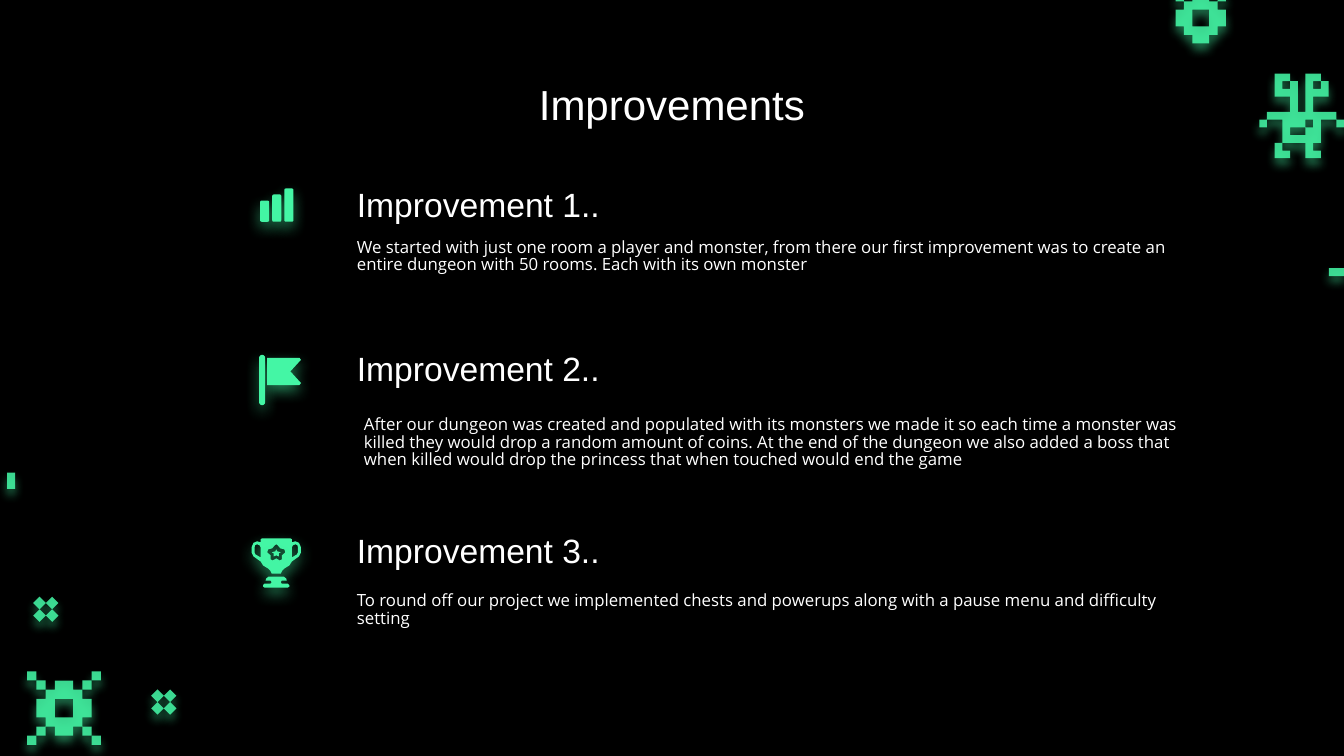
from lxml import etree
from pptx import Presentation
from pptx import util as u
from pptx.dml.color import RGBColor
from pptx.enum import shapes, text
from pptx.oxml.ns import qn

HUES = {"back": "000000", "glow": "44F6A5", "text": "FFFFFF"}

deck = Presentation()
deck.slide_width, deck.slide_height = u.Inches(13.33), u.Inches(7.5)
slide = deck.slides.add_slide(deck.slide_layouts[3])
slide.background.fill.solid()
slide.background.fill.fore_color.rgb = RGBColor.from_string(HUES["back"])
sprites, icons = [], []


def box(x, y, w=1, h=1):
    """Return the corners of a rectangle in grid cells."""
    return [(x, y), (x, y + h), (x + w, y + h), (x + w, y)]


def draw(left, top, cell, loops):
    """Build one freeform from closed loops; inner loops become holes."""
    loops = [[(u.Inches(left + x * cell), u.Inches(top + y * cell))
              for x, y in loop] for loop in loops]
    pen = slide.shapes.build_freeform(*loops[0][0])
    pen.add_line_segments(loops[0][1:])
    for loop in loops[1:]:
        pen.move_to(*loop[0])
        pen.add_line_segments(loop[1:])
    return pen.convert_to_shape()


# Pixel sprites, in cells
ring = [(2, 0), (2, 1), (1, 1), (1, 2), (0, 2), (0, 4), (1, 4), (1, 5), (2, 5), (2, 6),
        (4, 6), (4, 5), (5, 5), (5, 4), (6, 4), (6, 2), (5, 2), (5, 1), (4, 1), (4, 0)]
hole = box(2, 2, 2, 2)
alien = [(2, 0), (2, 3), (4, 3), (4, 5), (1, 5), (1, 6), (3, 6), (3, 9), (6, 9), (6, 11),
         (8, 11), (8, 10), (7, 10), (7, 9), (8, 9), (8, 6), (10, 6), (10, 7), (11, 7),
         (11, 6), (10, 6), (10, 5), (7, 5), (7, 3), (9, 3), (9, 1), (8, 1), (8, 2),
         (7, 2), (7, 1), (8, 1), (8, 0), (6, 0), (6, 5), (5, 5), (5, 1), (4, 1),
         (4, 2), (3, 2), (3, 1), (4, 1), (4, 0)]
foot = [(2, 9), (2, 11), (4, 11), (4, 10), (3, 10), (3, 9)]

bug = 0.73 / 8
for x, y in [(7, 7), (0, 7), (6, 1), (7, 0), (0, 0), (1, 1)]:
    sprites.append(draw(0.27, 6.66, bug, [box(x, y)]))
sprites.append(draw(0.27 + bug, 6.66 + bug, bug, [ring, hole, box(0, 5), box(5, 5)]))

gem = 0.25 / 2
for left, top in [(0.33, 5.92), (1.5, 6.84)]:
    for col in range(2):
        for row in range(2):
            sprites.append(slide.shapes.add_shape(
                shapes.MSO_SHAPE.DIAMOND, u.Inches(left + col * gem),
                u.Inches(top + row * gem), u.Inches(gem), u.Inches(gem)))

limb = 0.84 / 11
sprites += [
    draw(12.49, 0.73, limb, [foot]),
    draw(12.49, 0.73, limb, [alien, box(0, 6), box(6, 6), box(4, 7, 2, 1)]),
    draw(11.66, -0.07, 0.5 / 6, [ring, hole, box(0, 0), box(5, 0)]),
    draw(13.18, 2.66, 1, [box(0, 0, 0.15, 0.08)]),
    draw(0.07, 4.69, 1, [box(0, 0, 0.08, 0.16)]),
]

# Trophy: right halves around the middle, in hundredths of an inch
cup = [(14, 0), (15.5, 1), (15.5, 4), (19, 3), (22.5, 4.5), (24.5, 9), (24.5, 14),
       (22.5, 18), (15.5, 23), (13, 27), (8, 30), (6, 32), (4.5, 35)]
star = [(0, 6), (1.5, 7), (4, 10), (8, 11), (9, 14), (5.5, 17), (5.5, 21), (3.5, 22), (0, 20)]
core = [(0, 11), (1, 13), (4.5, 14), (2.5, 15), (2.5, 18), (0, 17)]
base = [(7.5, 38), (10, 40), (10.5, 42), (5.5, 42), (4.5, 43.5), (5.5, 45), (11.5, 45),
        (13, 46.5), (13, 48), (11.5, 49)]
grip = [(19, 6), (21, 7), (21.5, 9), (21.5, 14), (20.5, 16), (15.5, 19), (15.5, 9), (16.5, 7)]
cup, star, core, base = [half + [(-x, y) for x, y in half[::-1]]
                         for half in (cup, star, core, base)]
grips = [[(side * x, y) for x, y in grip] for side in (1, -1)]
for loops in ([cup, star, *grips], [base], [core]):
    icons.append(draw(2.74, 5.34, 0.01, loops))

# Chart bars and flag pole
for left, top, wide, high, curve in [(2.58, 1.99, 0.09, 0.21, 0.17), (2.7, 1.93, 0.09, 0.27, 0.17),
                                     (2.82, 1.87, 0.09, 0.33, 0.17), (2.57, 3.52, 0.06, 0.5, 0.5)]:
    bar = slide.shapes.add_shape(shapes.MSO_SHAPE.ROUNDED_RECTANGLE,
                                 *map(u.Inches, (left, top, wide, high)))
    bar.adjustments[0] = curve
    icons.append(bar)
icons.append(draw(2.65, 3.55, 0.01, [[(0, 0), (0, 27), (32, 27), (33.5, 25), (23, 13.5),
                                      (33.5, 2), (32, 0)]]))

for group, alpha, blur in [(sprites, 87, 6.8), (icons, 100, 10.1)]:
    for shape in group:
        shape.fill.solid()
        shape.fill.fore_color.rgb = RGBColor.from_string(HUES["glow"])
        shape.line.fill.background()
        shape.shadow.inherit = False
        props = shape._element.spPr
        tint = props.find(qn("a:solidFill")).find(qn("a:srgbClr"))
        etree.SubElement(tint, qn("a:alpha"), val=str(alpha * 1000))
        shade = etree.SubElement(props.find(qn("a:effectLst")), qn("a:outerShdw"),
                                 blurRad=str(u.Pt(blur)), dist=str(u.Pt(4.5)),
                                 dir="5400000", algn="bl", rotWithShape="0")
        tint = etree.SubElement(shade, qn("a:srgbClr"), val=HUES["glow"])
        etree.SubElement(tint, qn("a:alpha"), val="50000")

# Title, headings and body text
TOP, BASE = text.MSO_ANCHOR.TOP, text.MSO_ANCHOR.BOTTOM
LEFT, MID = text.PP_ALIGN.LEFT, text.PP_ALIGN.CENTER
title = {"font": "Arial", "size": 30, "anchor": TOP, "align": MID, "space": 1}
head = {"font": "Arial", "size": 24, "anchor": BASE, "align": LEFT, "space": 1}
body = {"font": "Open Sans", "size": 12, "anchor": TOP, "align": LEFT, "space": 0.88}
blocks = [
    ("Improvements", (1.05, 0.65, 11.23, 0.84), title),
    ("Improvement 1..", (3.41, 1.71, 8.4, 0.64), head),
    ("We started with just one room a player and monster, from there our first improvement "
     "was to create an entire dungeon with 50 rooms. Each with its own monster",
     (3.41, 2.24, 8.4, 0.93), body),
    ("Improvement 2..", (3.41, 3.34, 8.4, 0.64), head),
    ("After our dungeon was created and populated with its monsters we made it so each time "
     "a monster was killed they would drop a random amount of coins. At the end of the "
     "dungeon we also added a boss that when killed would drop the princess that when "
     "touched would end the game", (3.48, 4, 8.4, 0.93), body),
    ("Improvement 3..", (3.41, 5.15, 8.4, 0.64), head),
    ("To round off our project we implemented chests and powerups along with a pause menu "
     "and difficulty setting", (3.41, 5.75, 8.4, 0.93), body),
]
holders = {holder.placeholder_format.idx: holder for holder in slide.placeholders}
for spot, (words, place, look) in enumerate(blocks):
    place = [u.Inches(side) for side in place]
    shape = holders.get(spot) or slide.shapes.add_textbox(*place)
    shape.left, shape.top, shape.width, shape.height = place
    frame = shape.text_frame
    frame.text = words
    inset = u.Inches(0.13)
    para = frame.paragraphs[0]
    run = para.runs[0]
    for target, values in [
        (frame, {"word_wrap": True, "auto_size": text.MSO_AUTO_SIZE.NONE,
                 "vertical_anchor": look["anchor"], "margin_left": inset,
                 "margin_right": inset, "margin_top": inset, "margin_bottom": inset}),
        (para, {"alignment": look["align"], "line_spacing": look["space"],
                "space_before": u.Pt(0)}),
        (run.font, {"name": look["font"], "size": u.Pt(look["size"])}),
    ]:
        for name, value in values.items():
            setattr(target, name, value)
    run.font.color.rgb = RGBColor.from_string(HUES["text"])
    props = para._p.get_or_add_pPr()
    props.set("marL", "0")
    props.set("indent", "0")
    etree.SubElement(props, qn("a:buNone"))

deck.save("out.pptx")
